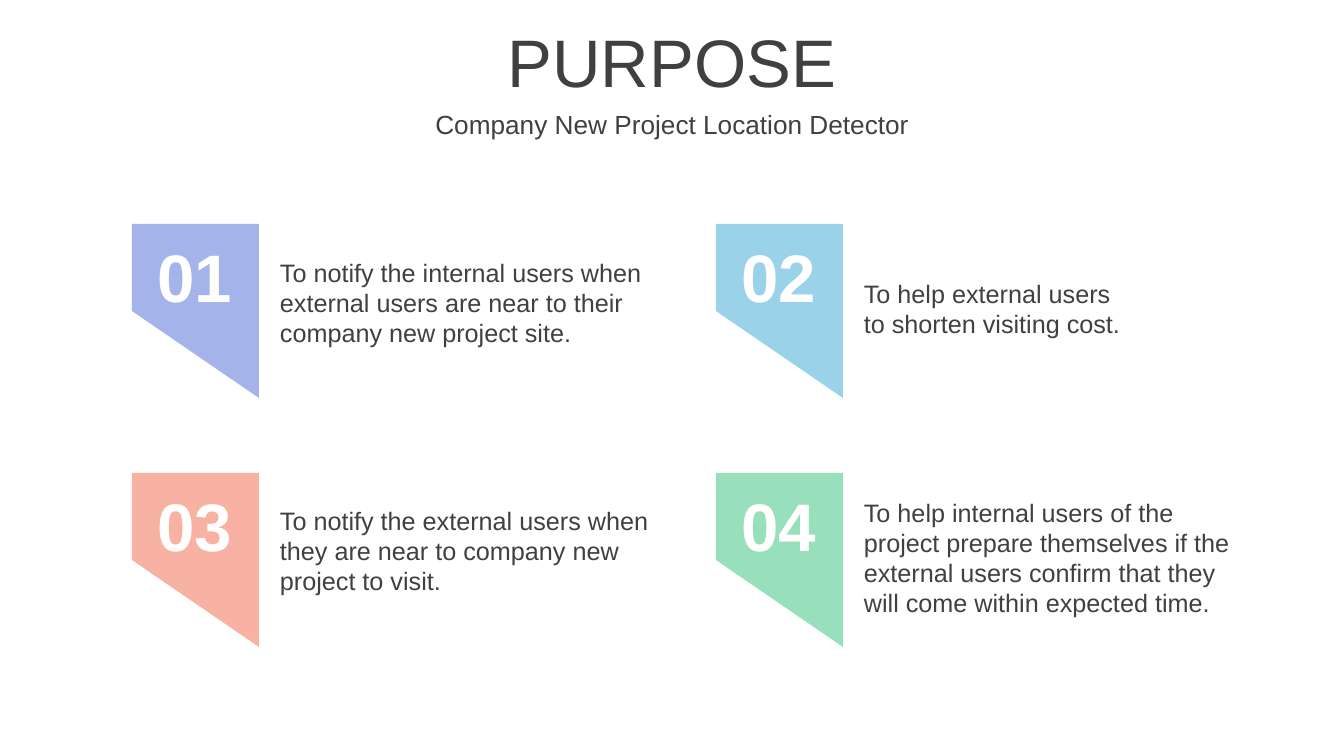
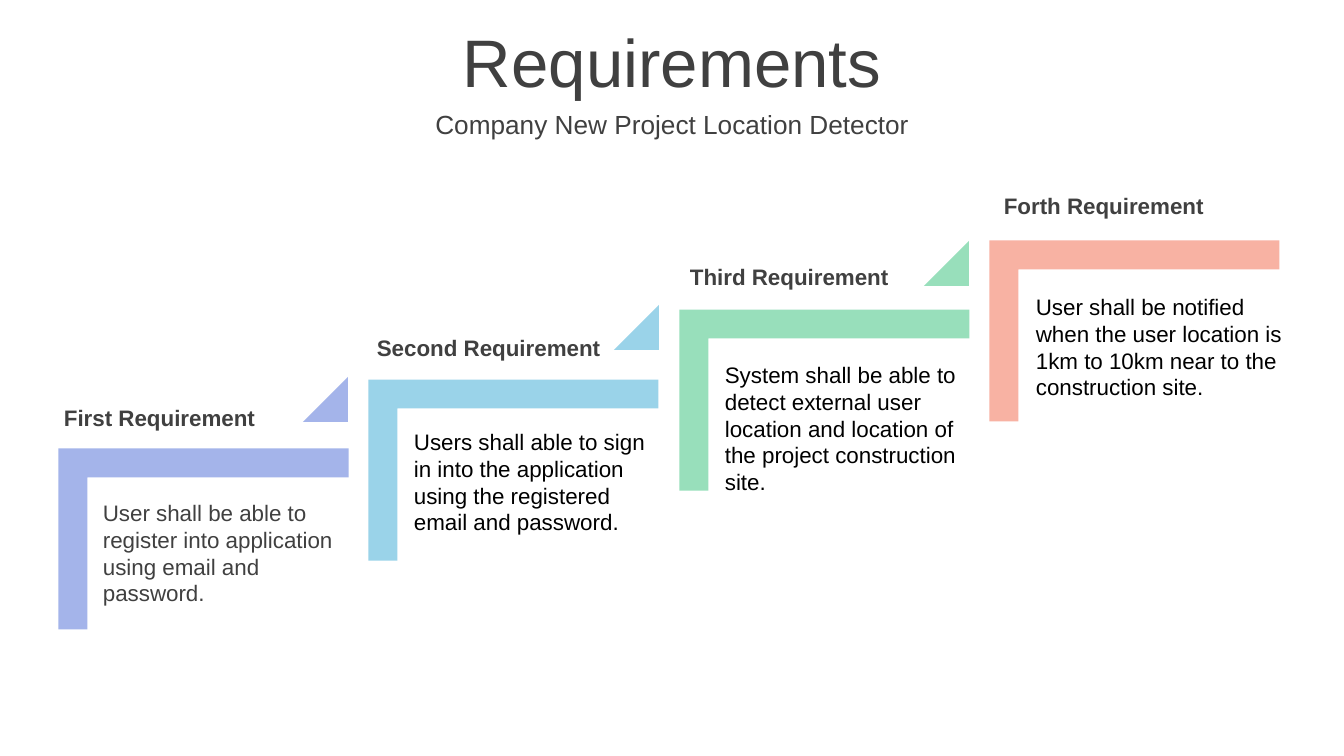
from pptx import Presentation
from pptx.dml.color import RGBColor
from pptx.enum.shapes import MSO_SHAPE as Shape
from pptx.enum.text import MSO_ANCHOR as Anchor, MSO_AUTO_SIZE as AutoSize, PP_ALIGN as Align
from pptx.util import Emu, Pt

# Shared style
SLIDE_WIDTH, SLIDE_HEIGHT = 1344, 756
PX = 12192000 / SLIDE_WIDTH
FONT = "Arial"
DARK, BLACK, WHITE = "404040", "000000", "FFFFFF"
VIOLET, BLUE, GREEN, CORAL = "A4B4EA", "9AD3E9", "98DFBB", "F8B2A3"
SUBTITLE = "Company New Project Location Detector"


def write(slide, text, box, size, color=DARK, bold=False, align=Align.LEFT,
          anchor=Anchor.TOP, shape=None):
    """Write one paragraph in the given placeholder or in a new text box."""
    left, top, width, height = [Emu(round(value * PX)) for value in box]
    if shape is None:
        shape = slide.shapes.add_textbox(left, top, width, height)
    else:
        shape.left, shape.top, shape.width, shape.height = left, top, width, height
    frame = shape.text_frame
    frame.word_wrap = True
    frame.auto_size = AutoSize.NONE
    frame.vertical_anchor = anchor
    paragraph = frame.paragraphs[0]
    paragraph.alignment = align
    run = paragraph.add_run()
    run.text = text
    run.font.name = FONT
    run.font.size = Pt(size)
    run.font.bold = bold
    run.font.color.rgb = RGBColor.from_string(color)


def draw(slide, kind, box, color, rotation=0, adjustments=()):
    """Draw a plain filled preset shape."""
    shape = slide.shapes.add_shape(kind, *[Emu(round(value * PX)) for value in box])
    shape.shadow.inherit = False
    shape.fill.solid()
    shape.fill.fore_color.rgb = RGBColor.from_string(color)
    shape.line.fill.background()
    shape.rotation = rotation
    for index, value in enumerate(adjustments):
        shape.adjustments[index] = value


presentation = Presentation()
presentation.slide_width = Emu(round(SLIDE_WIDTH * PX))
presentation.slide_height = Emu(round(SLIDE_HEIGHT * PX))

# Both slides with their title and subtitle
slides = []
for title in ("PURPOSE", "Requirements"):
    slide = presentation.slides.add_slide(presentation.slide_layouts[5])
    write(slide, title, (0, 18, SLIDE_WIDTH, 85), 48, align=Align.CENTER,
          anchor=Anchor.MIDDLE, shape=slide.shapes.title)
    write(slide, SUBTITLE, (0, 103, SLIDE_WIDTH, 42), 18.7, align=Align.CENTER,
          anchor=Anchor.MIDDLE)
    slides.append(slide)
purpose_slide, requirements_slide = slides

# Purposes: a two by two grid of numbered badges
BADGE_WIDTH, BADGE_HALF = 127, 87
COLUMN_STEP, ROW_STEP = 584, 249
purposes = [  # colour, text top, text width, text height, text
    (VIOLET, 252, 391, 102, "To notify the internal users when external users are near "
                            "to their company new project site."),
    (BLUE, 273, 282, 72, "To help external users to shorten visiting cost."),
    (CORAL, 500, 391, 102, "To notify the external users when they are near "
                           "to company new project to visit."),
    (GREEN, 492, 391, 132, "To help internal users of the project prepare themselves if "
                           "the external users confirm that they will come within "
                           "expected time."),
]
for index, (color, text_top, text_width, text_height, text) in enumerate(purposes):
    row, column = divmod(index, 2)
    left, top = 132 + column * COLUMN_STEP, 224 + row * ROW_STEP
    draw(purpose_slide, Shape.RECTANGLE, (left, top, BADGE_WIDTH, BADGE_HALF), color)
    draw(purpose_slide, Shape.ISOSCELES_TRIANGLE,
         (left, top + BADGE_HALF, BADGE_WIDTH, BADGE_HALF), color, 180, (0,))
    write(purpose_slide, f"{index + 1:02}", (left + 11, top + 6, 104, 92), 48, WHITE,
          bold=True, align=Align.CENTER)
    write(purpose_slide, text, (left + 138, text_top, text_width, text_height), 18)

# Requirements: a rising staircase of corner brackets
ARM, TREAD, THICKNESS = 181, 290, 0.16
requirements = [  # colour, bracket place, heading, heading box, text, text box, text colour
    (VIOLET, (113, 394), "First Requirement", (54, 399, 215, 37),
     "User shall be able to register into application using email and password.",
     (93, 494, 272, 119), DARK),
    (BLUE, (423, 325), "Second Requirement", (367, 329, 247, 37),
     "Users shall able to sign in into the application using the registered "
     "email and password.",
     (404, 423, 268, 119), BLACK),
    (GREEN, (734, 255), "Third Requirement", (680, 258, 228, 37),
     "System shall be able to detect external user location and location of "
     "the project construction site.",
     (715, 356, 277, 146), BLACK),
    (CORAL, (1044, 186), "Forth Requirement", (994, 187, 225, 37),
     "User shall be notified when the user location is 1km to 10km near "
     "to the construction site.",
     (1026, 288, 277, 119), BLACK),
]
for color, place, heading, heading_box, text, text_box, text_color in requirements:
    draw(requirements_slide, Shape.CORNER, (*place, ARM, TREAD), color, 90,
         (THICKNESS, THICKNESS))
    write(requirements_slide, heading, heading_box, 16, bold=True)
    write(requirements_slide, text, text_box, 16, text_color)

# Triangles that lead up to the next step
for color, left, top in ((VIOLET, 303, 377), (BLUE, 614, 305), (GREEN, 924, 241)):
    draw(requirements_slide, Shape.ISOSCELES_TRIANGLE, (left, top, 45, 45), color,
         adjustments=(1,))

presentation.save("out.pptx")
